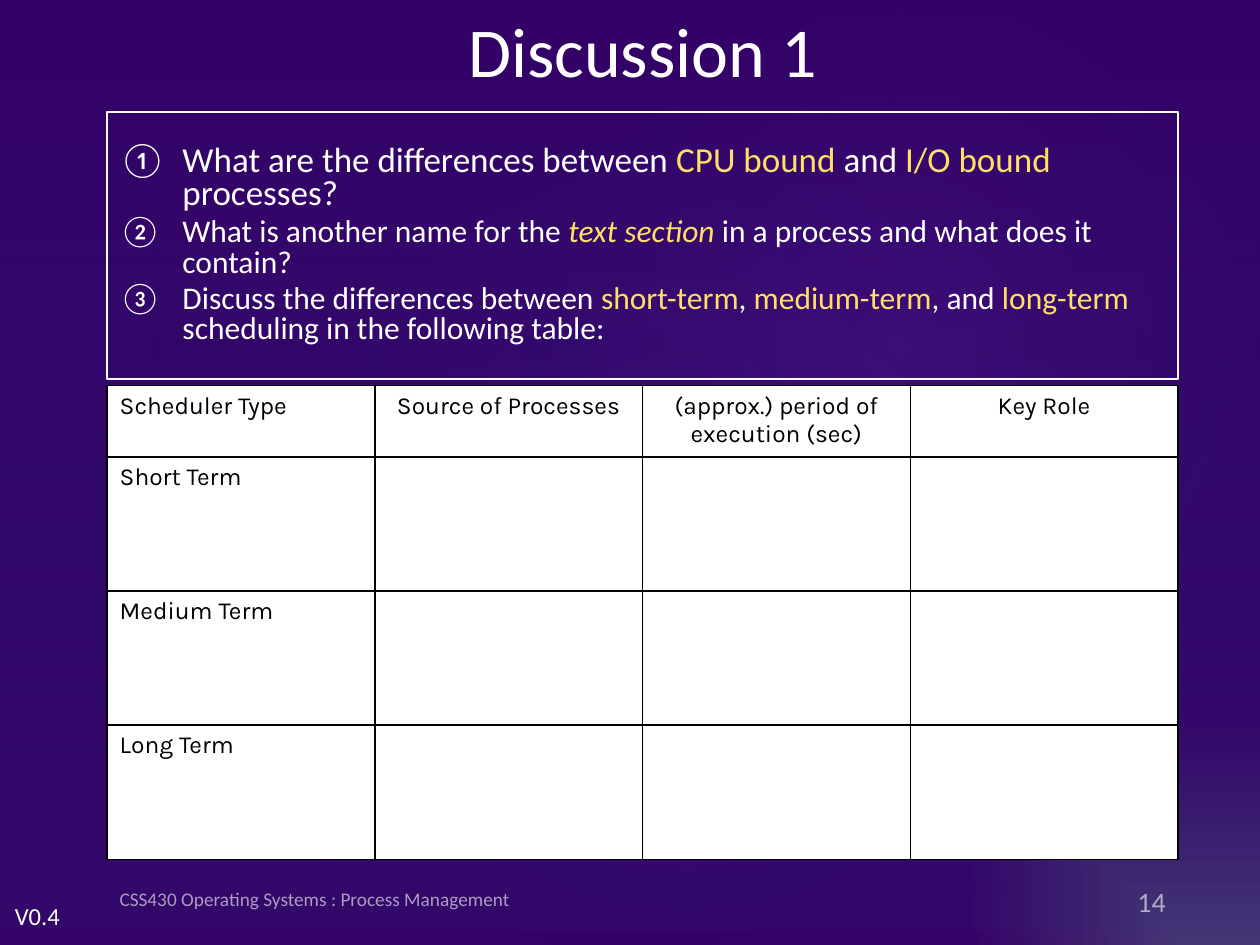
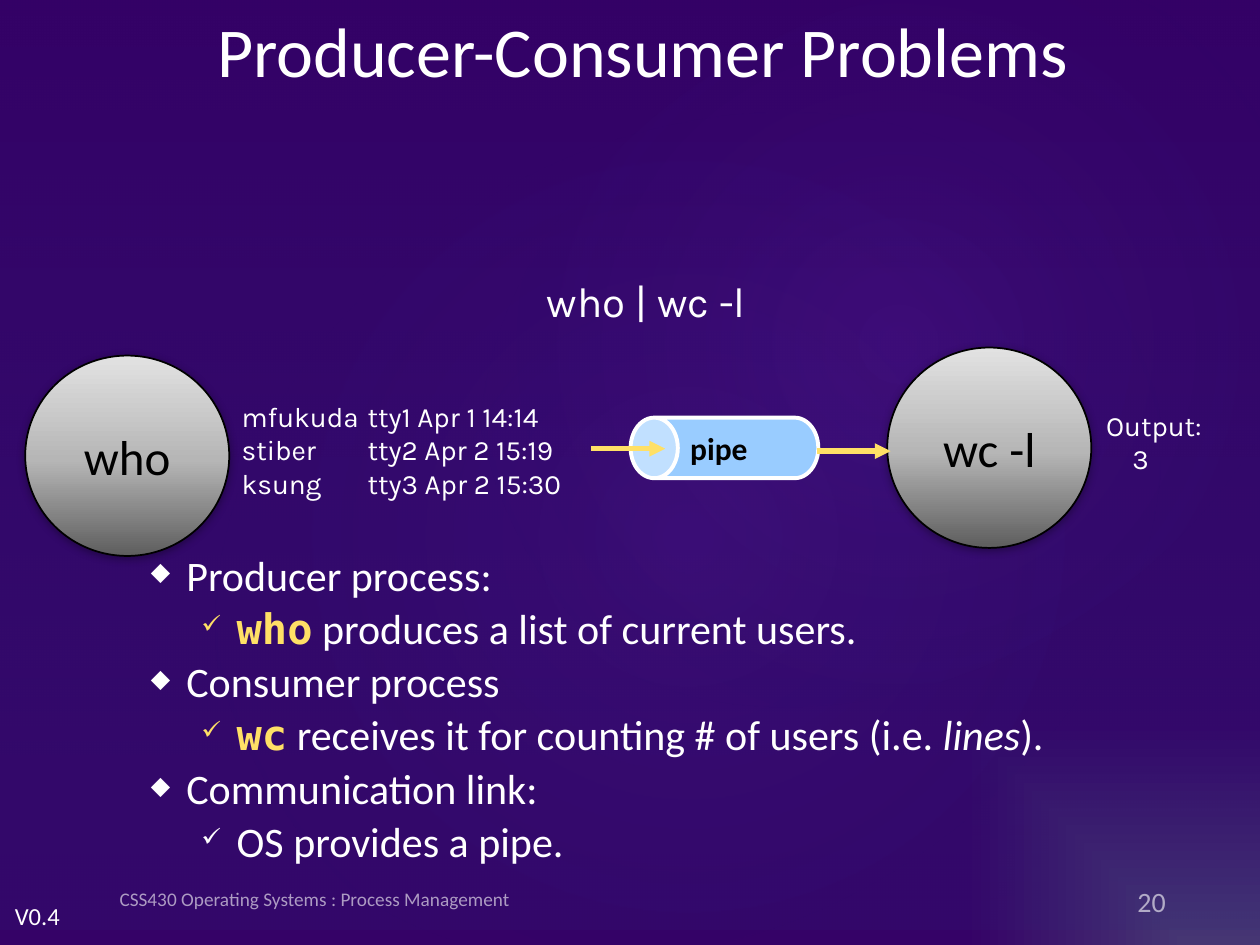
from lxml import etree
from pptx import Presentation
from pptx import util as u
from pptx.dml import color
from pptx.enum import shapes, text
from pptx.oxml import ns

Pt = u.Pt
COLORS = {
    "white": "FFFFFF", "black": "000000", "accent": "FFE066", "pipe": "99CCFF",
    "plum": "463673", "indigo": "350267", "violet": "330066", "navy": "263B86",
    "glow": "A347FF", "steel_dark": "5E5E5E", "steel": "B6B6B6", "steel_light": "E2E2E2",
}
RUN_STYLES = {
    "plain": {},
    "accent": {"ink": "accent"},
    "term": {"ink": "accent", "italic": True},
    "italic": {"italic": True},
    "code": {"ink": "accent", "font": "DejaVu Sans Mono", "bold": True},
}
LEFT, WIDTH = 61.2, 612
MIDDLE = text.MSO_ANCHOR.MIDDLE
CENTER, RIGHT = text.PP_ALIGN.CENTER, text.PP_ALIGN.RIGHT
FOOTER = "CSS430 Operating Systems : Process Management"


def node(parent, tag, **attrs):
    return etree.SubElement(parent, ns.qn(tag), {k: str(v) for k, v in attrs.items()})


def rgb(name):
    return color.RGBColor.from_string(COLORS[name])


class Deck:
    def __init__(self):
        self.prs = Presentation()
        self.prs.slide_width, self.prs.slide_height = Pt(720), Pt(540)
        self.s = None

    def slide(self, title, number):
        self.s = self.prs.slides.add_slide(self.prs.slide_layouts[6])
        self.s.background.fill.solid()
        bg = self.s.element.find(".//" + ns.qn("p:bgPr"))
        self.gradient(bg, [(0, "plum", 100), (47, "indigo", 100)],
                      shade="rect", focus={"l": 100000, "t": 100000})
        veil = self.shape(shapes.MSO_SHAPE.RECTANGLE, 0, -8.6, 720, 540)
        self.gradient(veil._element.spPr, [(0, "violet", 36), (100, "navy", 10)], angle=90)
        for box, alpha in (((108, 82, 570, 449), 7), ((258, 9.4, 510.5, 374.4), 8)):
            halo = self.shape(shapes.MSO_SHAPE.OVAL, *box)
            halo.rotation = 328.7
            self.gradient(halo._element.spPr, [(0, "glow", alpha), (58, "navy", 0)],
                          shade="circle", focus=dict.fromkeys("ltrb", 50000))
        self.label("V0.4", 1.4, 511.2, 41, 24.5, 14)
        self.box(title, LEFT, 0, WIDTH, 57, 40, align=CENTER)
        tf = self.box(str(number), 592.5, 499, 80.7, 28.8, 16, align=RIGHT, alpha=60)
        tf.margin_bottom = Pt(0.7)
        self.box(FOOTER, LEFT, 499, 363.6, 28.8, 11, alpha=60)

    def gradient(self, holder, stops, angle=None, shade=None, focus=None):
        grad = etree.Element(ns.qn("a:gradFill"), rotWithShape="1")
        gs_lst = node(grad, "a:gsLst")
        for pos, name, alpha in stops:
            gs = node(gs_lst, "a:gs", pos=pos * 1000)
            clr = node(gs, "a:srgbClr", val=COLORS[name])
            if alpha < 100:
                node(clr, "a:alpha", val=alpha * 1000)
        if shade:
            node(node(grad, "a:path", path=shade), "a:fillToRect", **focus)
        else:
            node(grad, "a:lin", ang=angle * 60000, scaled=0)
        holder.replace(holder.find(ns.qn("a:solidFill")), grad)

    def shape(self, kind, x, y, w, h, fill="white", line=None, weight=1):
        sp = self.s.shapes.add_shape(kind, Pt(x), Pt(y), Pt(w), Pt(h))
        sp.shadow.inherit = False
        if fill:
            sp.fill.solid()
            sp.fill.fore_color.rgb = rgb(fill)
        else:
            sp.fill.background()
        if line:
            sp.line.color.rgb = rgb(line)
            sp.line.width = Pt(weight)
        else:
            sp.line.fill.background()
        return sp

    def format_run(self, r, size, ink="white", font="Calibri", bold=False, italic=False, alpha=None):
        r.font.size, r.font.name = Pt(size), font
        r.font.bold, r.font.italic = bold, italic
        r.font.color.rgb = rgb(ink)
        if alpha:
            node(r._r.find(".//" + ns.qn("a:srgbClr")), "a:alpha", val=alpha * 1000)

    def fill_text(self, tf, words, size, align=None, **style):
        tf.text = words
        for p in tf.paragraphs:
            p.alignment = align
            for r in p.runs:
                self.format_run(r, size, **style)

    def box(self, words, x, y, w, h, size, align=None, **style):
        tf = self.s.shapes.add_textbox(Pt(x), Pt(y), Pt(w), Pt(h)).text_frame
        tf.word_wrap, tf.vertical_anchor = True, MIDDLE
        self.fill_text(tf, words, size, align, **style)
        return tf

    def label(self, words, x, y, w, h, size, font="Calibri"):
        tf = self.box(words, x, y, w, h, size, font=font)
        tf.word_wrap, tf.vertical_anchor = False, text.MSO_ANCHOR.TOP
        tf.auto_size = text.MSO_AUTO_SIZE.SHAPE_TO_FIT_TEXT
        return tf

    def bullets(self, tf, items, spacing, add_marker):
        tf.word_wrap, tf.vertical_anchor = True, MIDDLE
        for i, (size, level, runs) in enumerate(items):
            p = tf.paragraphs[0] if i == 0 else tf.add_paragraph()
            p.level, p.alignment = level, text.PP_ALIGN.LEFT
            add_marker(p._p.get_or_add_pPr(), level)
            p.line_spacing = spacing
            if i:
                p.space_before = Pt(size * 0.19)
            for words, style in runs:
                r = p.add_run()
                r.text = words
                self.format_run(r, size, **RUN_STYLES[style])

    def table(self, x, y, col_width, heights, rows):
        n = len(rows[0])
        t = self.s.shapes.add_table(len(rows), n, Pt(x), Pt(y),
                                    Pt(col_width * n), Pt(sum(heights))).table
        t.first_row = t.horz_banding = False
        for col in t.columns:
            col.width = Pt(col_width)
        for i, row in enumerate(rows):
            t.rows[i].height = Pt(heights[i])
            for j, words in enumerate(row):
                cell = t.cell(i, j)
                tc_pr = cell._tc.get_or_add_tcPr()
                for side in "LRTB":
                    ln = node(tc_pr, "a:ln" + side, w=Pt(1))
                    node(node(ln, "a:solidFill"), "a:srgbClr", val=COLORS["black"])
                cell.fill.solid()
                cell.fill.fore_color.rgb = rgb("white")
                self.fill_text(cell.text_frame, words, 14, CENTER if j else None,
                               ink="black", font="Karla")

    def process(self, name, x, y):
        sp = self.shape(shapes.MSO_SHAPE.OVAL, x, y, 116.6, 114.5, line="black")
        self.gradient(sp._element.spPr, [(0, "steel_dark", 100), (48, "steel", 100),
                                         (100, "steel_light", 100)], angle=270)
        effects = sp._element.spPr.find(ns.qn("a:effectLst"))
        shadow = node(effects, "a:outerShdw", blurRad=Pt(5), dist=Pt(1),
                      dir=90 * 60000, rotWithShape=0)
        node(node(shadow, "a:srgbClr", val=COLORS["black"]), "a:alpha", val=32000)
        tf = sp.text_frame
        tf.word_wrap, tf.vertical_anchor = False, MIDDLE
        self.fill_text(tf, name, 28, CENTER, ink="black")

    def pipe(self, name, x, y, w, h):
        sp = self.shape(shapes.MSO_SHAPE.CAN, x, y, w, h, "pipe", "white", 2.25)
        sp.rotation = 270
        sp.adjustments[0] = 0.78
        tf = sp.text_frame
        tf.word_wrap, tf.vertical_anchor = False, MIDDLE
        tf._txBody.bodyPr.set("vert", "eaVert")
        self.fill_text(tf, name, 18, CENTER, ink="black", bold=True)

    def arrow(self, x, y, length):
        c = self.s.shapes.add_connector(shapes.MSO_CONNECTOR.STRAIGHT,
                                        Pt(x), Pt(y), Pt(x + length), Pt(y))
        c.line.color.rgb = rgb("accent")
        c.line.width = Pt(3)
        node(c.line._get_or_add_ln(), "a:tailEnd", type="triangle")
        node(c._element.spPr, "a:effectLst")


def number_marker(p_pr, level):
    p_pr.set("marL", str(Pt(36)))
    p_pr.set("indent", str(-Pt(36)))
    node(p_pr, "a:buFont", typeface="+mj-lt")
    node(p_pr, "a:buAutoNum", type="circleNumDbPlain")


def symbol_marker(p_pr, level):
    p_pr.set("marL", str(Pt(21.6 + 28.8 * level)))
    p_pr.set("indent", str(-Pt(20.2)))
    node(p_pr, "a:buSzPct", val=60000)
    node(p_pr, "a:buChar", char="◆✓"[level])


def discussion(d):
    d.slide("Discussion 1", 14)
    questions = d.shape(shapes.MSO_SHAPE.RECTANGLE, LEFT, 64, WIDTH, 152.6, None, "white", 0.75)
    d.bullets(questions.text_frame, [
        (20, 0, [("What are the differences between ", "plain"), ("CPU bound ", "accent"),
                 ("and ", "plain"), ("I/O bound ", "accent"), ("processes?", "plain")]),
        (18, 0, [("What is another name for the ", "plain"), ("text section ", "term"),
                 ("in a process and what does it contain?", "plain")]),
        (18, 0, [("Discuss the differences between ", "plain"), ("short-term", "accent"),
                 (", ", "plain"), ("medium-term", "accent"), (", and ", "plain"),
                 ("long-term", "accent"), (" scheduling in the following table:", "plain")]),
    ], 0.8, number_marker)
    header = ["Scheduler Type", "Source of Processes",
              "(approx.) period of execution (sec)", "Key Role"]
    terms = [[f"{term} Term", "", "", ""] for term in ("Short", "Medium", "Long")]
    d.table(LEFT, 220.2, WIDTH / 4, [40] + [76.7] * 3, [header] + terms)


def producer_consumer(d):
    d.slide("Producer-Consumer Problems", 20)
    tf = d.s.shapes.add_textbox(Pt(77.8), Pt(313.2), Pt(595.4), Pt(185.8)).text_frame
    d.bullets(tf, [
        (24, 0, [("Producer process:", "plain")]),
        (24, 1, [("who", "code"), (" produces a list of current users.", "plain")]),
        (24, 0, [("Consumer process", "plain")]),
        (24, 1, [("wc", "code"), (" receives it for counting # of users (i.e. ", "plain"),
                 ("lines", "italic"), (").", "plain")]),
        (24, 0, [("Communication link:", "plain")]),
        (24, 1, [("OS provides a pipe.", "plain")]),
    ], 0.9, symbol_marker)
    d.label("who | wc -l", 305.3, 154, 133.2, 36, 24, "Karla")
    d.process("who", 14.4, 203.2)
    d.process("wc -l", 507, 198.6)
    d.pipe("pipe", 396.7, 202.3, 34.6, 107.3)
    d.arrow(337.7, 256.4, 42.4)
    d.arrow(466.6, 257.8, 42.4)
    d.label("mfukuda\ttty1 Apr 1 14:14\nstiber\ttty2 Apr 2 15:19\nksung\ttty3 Apr 2 15:30",
            131, 224.6, 202.3, 64.8, 16, "Karla")
    output = d.label("Output:\n3", 625, 229.7, 69.1, 46, 16, "Karla")
    output.paragraphs[1]._p.get_or_add_pPr().set("marL", str(Pt(15)))


def main():
    d = Deck()
    discussion(d)
    producer_consumer(d)
    d.prs.save("out.pptx")


if __name__ == "__main__":
    main()
